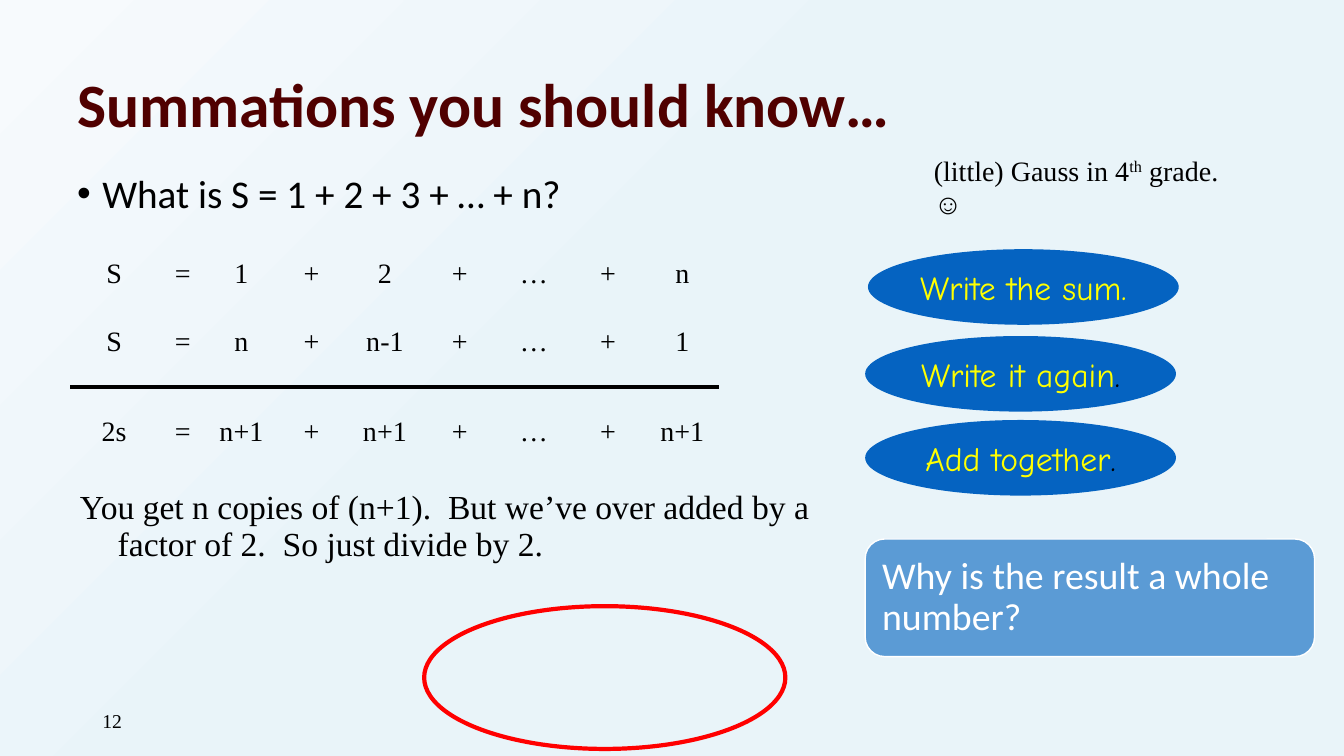
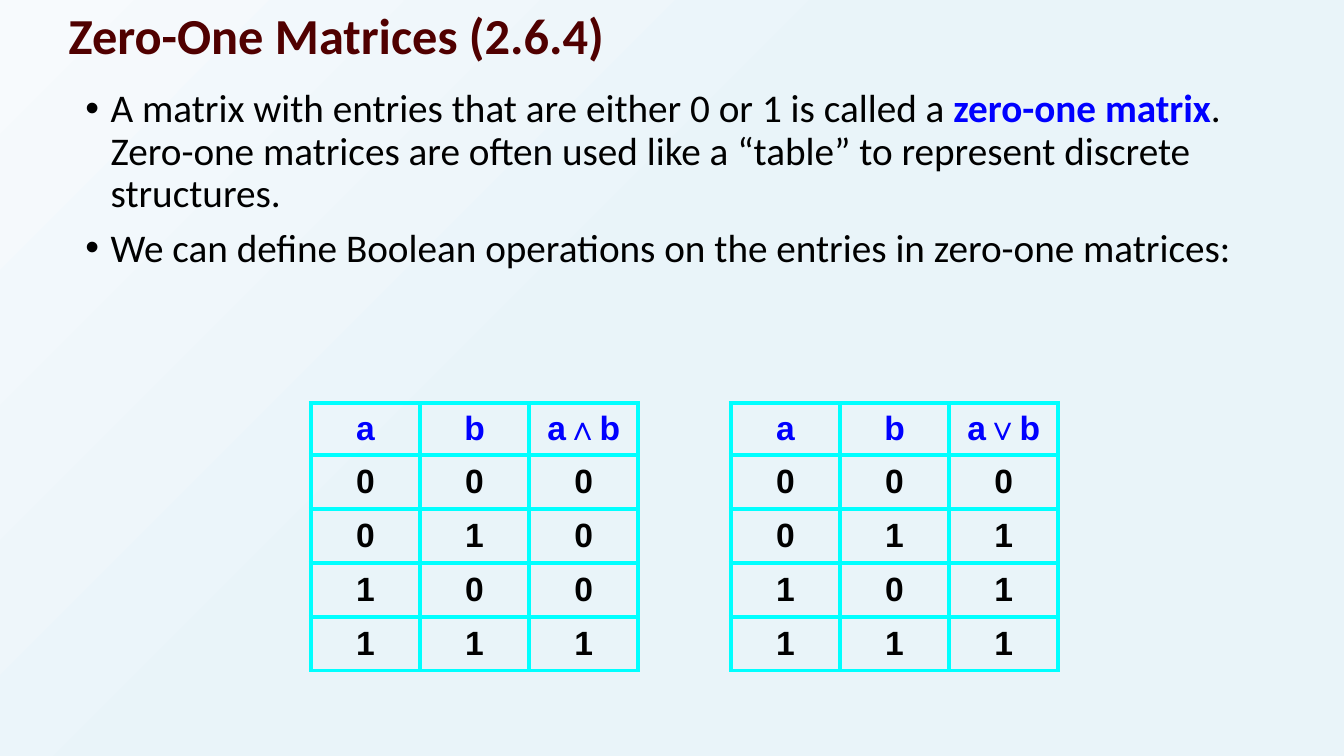
"""Build two discrete mathematics slides: summations and zero-one matrices."""
import dataclasses
import itertools

import lxml.etree
import pptx
import pptx.dml.color
import pptx.enum.shapes
import pptx.enum.text
import pptx.oxml.ns
import pptx.util

Pt = pptx.util.Pt
qn = pptx.oxml.ns.qn
SHAPE = pptx.enum.shapes.MSO_SHAPE
ALIGN = pptx.enum.text.PP_ALIGN
ANCHOR = pptx.enum.text.MSO_ANCHOR
NO_TABLE_STYLE = "{2D5ABB26-0587-4C30-8999-92F81FD0307C}"
BULLET_INDENT = 18


@dataclasses.dataclass(frozen=True)
class Style:
    """Type settings of a paragraph."""
    font: str
    size: int
    color: str
    bold: bool = False


@dataclasses.dataclass(frozen=True)
class Theme:
    """Colours and type sizes of the deck."""
    sky_light: str = "F7FAFD"
    sky: str = "E9F4F9"
    black: str = "000000"
    blue: str = "0000FF"
    cyan: str = "00FFFF"
    red: str = "FF0000"
    white: str = "FFFFFF"
    step_fill: str = "0563C1"
    question_fill: str = "5B9BD5"
    rule_width: int = 3
    title: Style = Style("Calibri", 44, "500000", True)
    small_title: Style = Style("Calibri", 36, "500000", True)
    body: Style = Style("Calibri", 28, "000000")
    question: Style = Style("Calibri", 27, "FFFFFF")
    remark: Style = Style("Times New Roman", 24, "000000")
    note: Style = Style("Times New Roman", 20, "000000")
    number: Style = Style("Times New Roman", 14, "000000")
    step: Style = Style("Comic Neue", 24, "FFFF00")
    truth_head: Style = Style("Arial", 24, "0000FF", True)
    truth: Style = Style("Arial", 24, "000000", True)


@dataclasses.dataclass(frozen=True)
class Span:
    """Text that differs from the rest of its paragraph."""
    text: str
    color: str = ""
    bold: bool = False
    raised: bool = False


THEME = Theme()


def rgb(color):
    """Turn a hexadecimal string into a colour."""
    return pptx.dml.color.RGBColor.from_string(color)


def write(para, style, *spans, align=ALIGN.LEFT, spacing=1.0):
    """Write plain strings and Spans into a paragraph."""
    para.alignment = align
    para.line_spacing = spacing
    para.font.name = style.font
    para.font.size = Pt(style.size)
    para.font.bold = style.bold
    para.font.color.rgb = rgb(style.color)
    for item in spans:
        run = para.add_run()
        if isinstance(item, str):
            run.text = item
            continue
        run.text = item.text
        if item.color:
            run.font.color.rgb = rgb(item.color)
        if item.bold:
            run.font.bold = True
        if item.raised:
            run._r.get_or_add_rPr().set("baseline", "30000")


def hang(para, indent, bullet=""):
    """Give a paragraph a hanging indent and, if wanted, a bullet."""
    props = para._p.get_or_add_pPr()
    props.set("marL", str(Pt(indent)))
    props.set("indent", str(-Pt(indent)))
    if bullet:
        mark = lxml.etree.Element(qn("a:buChar"), char=bullet)
        font = lxml.etree.Element(qn("a:buFont"), typeface="Arial")
        position = props.index(props.find(qn("a:defRPr")))
        props.insert(position, mark)
        props.insert(position, font)


def add_text(page, bounds, anchor=ANCHOR.TOP):
    """Add an empty wrapping text box and return its frame."""
    box = page.shapes.add_textbox(*map(Pt, bounds))
    frame = box.text_frame
    frame.word_wrap = True
    frame.vertical_anchor = anchor
    return frame


def add_title(page, bounds, style, text):
    """Add the slide title."""
    frame = add_text(page, bounds, ANCHOR.MIDDLE)
    write(frame.paragraphs[0], style, text, spacing=0.9)


def add_bullets(page, bounds, *items):
    """Add a bulleted list, each item a tuple of spans."""
    frame = add_text(page, bounds)
    for position, spans in enumerate(items):
        para = frame.add_paragraph() if position else frame.paragraphs[0]
        write(para, THEME.body, *spans, spacing=0.9)
        para.space_before = Pt(9 if position else 0)
        hang(para, BULLET_INDENT, "•")


def add_figure(page, kind, bounds, fill="", line="", width=1):
    """Add a preset shape with the given fill and outline."""
    shape = page.shapes.add_shape(kind, *map(Pt, bounds))
    shape.shadow.inherit = False
    if fill:
        shape.fill.solid()
        shape.fill.fore_color.rgb = rgb(fill)
    else:
        shape.fill.background()
    if line:
        shape.line.color.rgb = rgb(line)
        shape.line.width = Pt(width)
    else:
        shape.line.fill.background()
    return shape


def add_step(page, left, top, *spans):
    """Add an oval that names one step."""
    oval = add_figure(page, SHAPE.OVAL, (left, top, 222, 54), THEME.step_fill)
    oval.text_frame.word_wrap = False
    oval.text_frame.vertical_anchor = ANCHOR.MIDDLE
    write(oval.text_frame.paragraphs[0], THEME.step, *spans, align=ALIGN.CENTER)


def add_question(page, bounds, text):
    """Add a rounded panel with a question."""
    panel = add_figure(page, SHAPE.ROUNDED_RECTANGLE, bounds,
                       THEME.question_fill, THEME.white)
    frame = panel.text_frame
    frame.word_wrap = True
    frame.vertical_anchor = ANCHOR.MIDDLE
    frame.margin_left = frame.margin_right = Pt(8)
    write(frame.paragraphs[0], THEME.question, text, spacing=0.9)


def add_borders(cell, sides, color):
    """Draw the named sides (L, R, T, B) of a table cell."""
    props = cell._tc.get_or_add_tcPr()
    for side in sides:
        line = lxml.etree.SubElement(props, qn("a:ln" + side),
                                     w=str(Pt(THEME.rule_width)))
        fill = lxml.etree.SubElement(line, qn("a:solidFill"))
        lxml.etree.SubElement(fill, qn("a:srgbClr"), val=color)


def add_grid(page, left, top, widths, heights, rows, styles, sides, color):
    """Add a table, with one style and one set of sides for each row."""
    frame = page.shapes.add_table(len(heights), len(widths), Pt(left), Pt(top),
                                  Pt(sum(widths)), Pt(sum(heights)))
    table = frame.table
    table.first_row = table.horz_banding = False
    table._tbl.tblPr.find(qn("a:tableStyleId")).text = NO_TABLE_STYLE
    for column, width in zip(table.columns, widths):
        column.width = Pt(width)
    for row, height, texts, style, edges in zip(table.rows, heights, rows,
                                                styles, sides):
        row.height = Pt(height)
        for cell, text in zip(row.cells, texts):
            add_borders(cell, edges, color)
            cell.fill.background()
            cell.vertical_anchor = ANCHOR.MIDDLE
            write(cell.text_frame.paragraphs[0], style, text, align=ALIGN.CENTER)


def add_truth_table(page, left, heading, operation):
    """Add the truth table of a Boolean operation."""
    pairs = itertools.product((0, 1), repeat=2)
    rows = [("a", "b", heading)]
    rows += [(str(a), str(b), str(operation(a, b))) for a, b in pairs]
    add_grid(page, left, 288, [78] * 3, [37] + [38.5] * 4, rows,
             [THEME.truth_head] + [THEME.truth] * 4, ["LRTB"] * 5, THEME.cyan)


def paint_background(master):
    """Give every slide the diagonal gradient."""
    fill = master.background.fill
    fill.gradient()
    fill.gradient_angle = 315
    stops = zip(fill.gradient_stops, (THEME.sky_light, THEME.sky), (0, 0.45))
    for stop, color, position in stops:
        stop.color.rgb = rgb(color)
        stop.position = position


def build_summations(page):
    """Build the slide on the sum of the first n numbers."""
    number = add_text(page, (66, 500, 216, 29), ANCHOR.MIDDLE)
    write(number.paragraphs[0], THEME.number, "12")
    add_title(page, (48, 50, 828, 54), THEME.title, "Summations you should know…")
    add_bullets(page, (48, 121, 600, 324), ("What is S = 1 + 2 + 3 + … + n?",))

    remark = add_text(page, (50, 347, 570, 72)).paragraphs[0]
    write(remark, THEME.remark, "You get n copies of (n+1).  But we’ve over added "
          "by a factor of 2.  So just divide by 2.", spacing=0.9)
    hang(remark, 27)

    sums = (("S", "1", "2", "n"), ("S", "n", "n-1", "1"),
            ("2s", "n+1", "n+1", "n+1"))
    rows = [(name, "=", first, "+", second, "+", "…", "+", last)
            for name, first, second, last in sums]
    add_grid(page, 50, 178.5, (63, 35, 49, 51, 54, 53, 53, 53, 53), (34, 64, 64),
             rows, [THEME.note] * 3, ("", "B", "T"), THEME.black)

    black_dot = Span(".", THEME.black)
    add_step(page, 620, 178, "Write the sum.")
    add_step(page, 618, 240, "Write it again", black_dot)
    add_step(page, 618, 300, "Add together", black_dot)
    add_figure(page, SHAPE.OVAL, (303, 433, 258, 102), line=THEME.red,
               width=THEME.rule_width)

    gauss = add_text(page, (660, 106, 230, 54)).paragraphs[0]
    write(gauss, THEME.note, "(little) Gauss in 4", Span("th", raised=True),
          " grade. ☺")
    add_question(page, (618, 385, 321, 84), "Why is the result a whole number?")


def build_matrices(page):
    """Build the slide on zero-one matrices."""
    add_title(page, (42, 0, 744, 54), THEME.small_title, "Zero-One Matrices (2.6.4)")
    add_bullets(
        page, (54, 60, 864, 222),
        ("A matrix with entries that are either 0 or 1 is called a ",
         Span("zero-one matrix", THEME.blue, bold=True),
         ". Zero-one matrices are often used like a “table” to represent "
         "discrete structures."),
        ("We can define Boolean operations on the entries in zero-one matrices:",))
    add_truth_table(page, 222, "a∧b", min)
    add_truth_table(page, 522, "a∨b", max)


def main():
    """Build and save the deck."""
    deck = pptx.Presentation()
    deck.slide_width, deck.slide_height = Pt(960), Pt(540)
    paint_background(deck.slide_master)
    blank = deck.slide_layouts[6]
    for build in (build_summations, build_matrices):
        build(deck.slides.add_slide(blank))
    deck.save("out.pptx")


if __name__ == "__main__":
    main()
